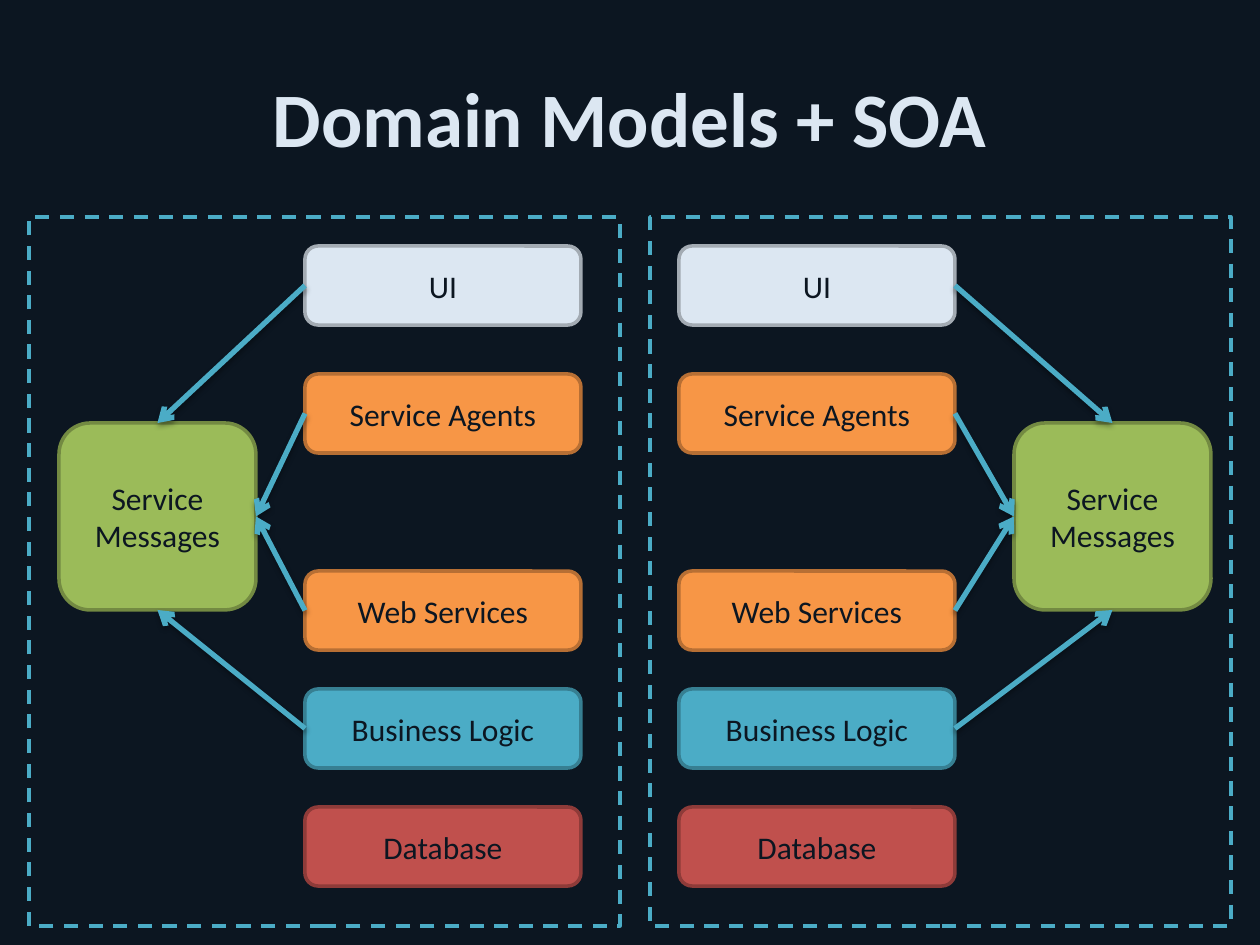
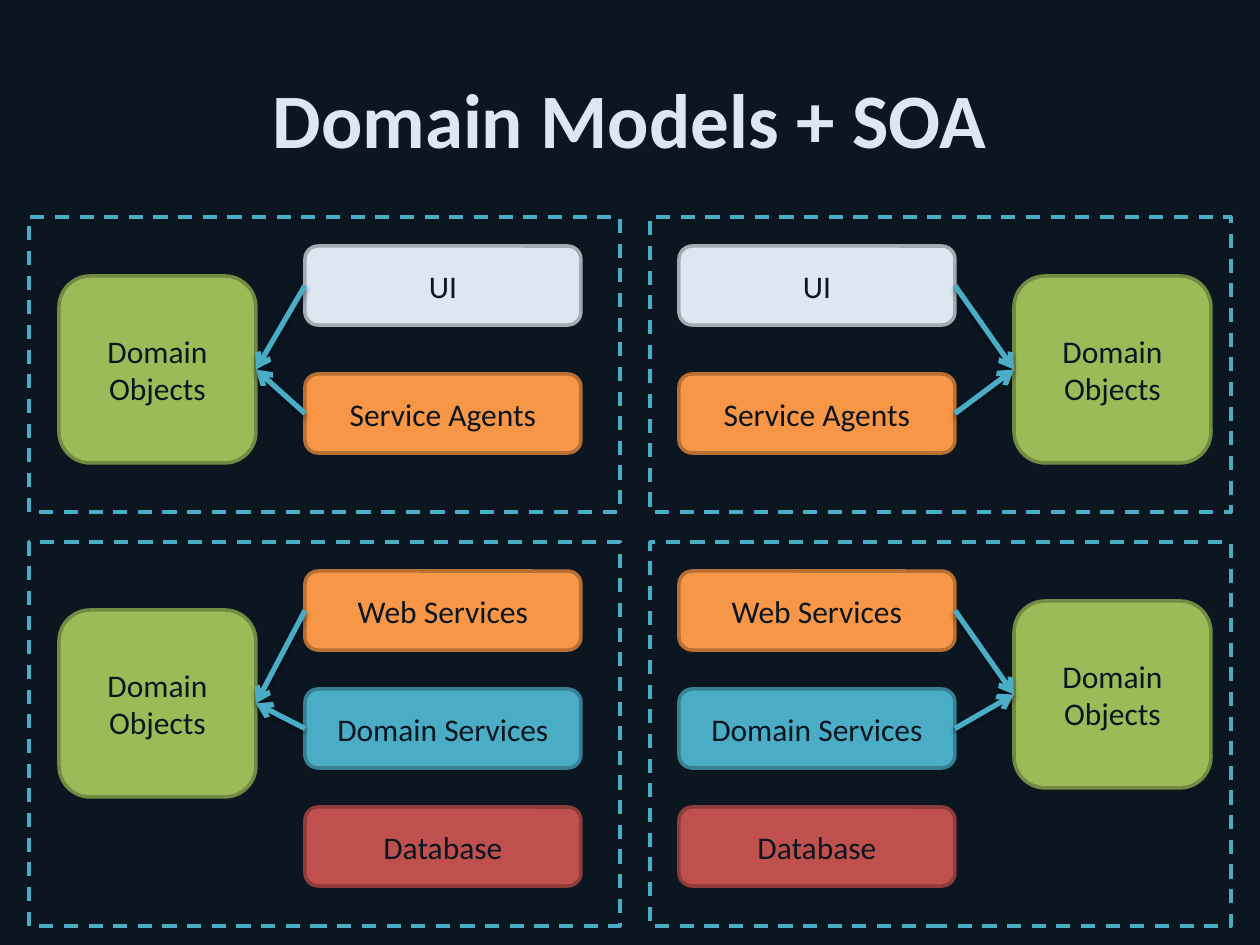
from lxml.etree import SubElement
from pptx import Presentation
from pptx.dml.color import RGBColor
from pptx.enum.dml import MSO_LINE
from pptx.enum.shapes import MSO_CONNECTOR, MSO_SHAPE
from pptx.enum.text import MSO_ANCHOR, PP_ALIGN
from pptx.oxml.ns import qn
from pptx.util import Emu, Pt

SCALE = 914400 / 126
FONT = "Calibri"
COLORS = {
    "night": "0C1621", "pale": "DCE7F2", "pale_edge": "A3ABB3",
    "orange": "F79646", "orange_edge": "B76F34",
    "teal": "4BACC6", "teal_edge": "377F92",
    "red": "C0504D", "red_edge": "8E3B39",
    "green": "9BBB59", "green_edge": "738A42",
}
TOP, LEFT, BOTTOM, RIGHT = range(4)
LAYER_SIZE = (276, 79)
HUB_SIZE = (197, 187)
LAYER_TOPS = (246, 374, 571, 689, 807)
LAYER_COLORS = ("pale", "orange", "orange", "teal", "red")
SIDES = {
    "right": {"frame": (650, 581), "layers": 679, "hub": 1014, "out": RIGHT, "into": LEFT},
    "left": {"frame": (29, 591), "layers": 305, "hub": 59, "out": LEFT, "into": RIGHT},
}


def px(value):
    return Emu(round(value * SCALE))


def color(name):
    return RGBColor.from_string(COLORS[name])


def add_text(frame, text, size, color_name, bold=False):
    frame.word_wrap = True
    frame.vertical_anchor = MSO_ANCHOR.MIDDLE
    para = frame.paragraphs[0]
    para.alignment = PP_ALIGN.CENTER
    span = para.add_run()
    span.text = text
    span.font.name = FONT
    span.font.size = Pt(size)
    span.font.bold = bold
    span.font.color.rgb = color(color_name)


def add_box(page, kind, left, top, size, fill, edge):
    box = page.shapes.add_shape(kind, px(left), px(top), *map(px, size))
    box.shadow.inherit = False
    box.fill.solid()
    box.fill.fore_color.rgb = color(fill)
    box.line.color.rgb = color(edge)
    box.line.width = Pt(2)
    return box


def add_frame(page, side, top, height):
    left, width = side["frame"]
    frame = add_box(page, MSO_SHAPE.RECTANGLE, left, top, (width, height), "night", "teal")
    frame.line.dash_style = MSO_LINE.DASH


def add_block(page, text, left, top, size, fill):
    block = add_box(page, MSO_SHAPE.ROUNDED_RECTANGLE, left, top, size, fill, fill + "_edge")
    add_text(block.text_frame, text, 18, "night")
    return block


def add_arrow(page, source, source_site, target, target_site):
    arrow = page.shapes.add_connector(MSO_CONNECTOR.STRAIGHT, 0, 0, 0, 0)
    arrow.begin_connect(source, source_site)
    arrow.end_connect(target, target_site)
    arrow.line.color.rgb = color("teal")
    arrow.line.width = Pt(3)
    properties = arrow.line._get_or_add_ln()
    SubElement(properties, qn("a:tailEnd"), type="arrow")
    effects = SubElement(properties.getparent(), qn("a:effectLst"))
    shadow = SubElement(effects, qn("a:outerShdw"), blurRad=str(Pt(3.1)),
                        dist=str(Pt(1.8)), dir="5400000", rotWithShape="0")
    shade = SubElement(shadow, qn("a:srgbClr"), val="000000")
    SubElement(shade, qn("a:alpha"), val="35000")


def add_page(deck, title_top, bands):
    page = deck.slides.add_slide(deck.slide_layouts[5])
    page.background.fill.solid()
    page.background.fill.fore_color.rgb = color("night")
    title = page.shapes.title
    title.left, title.top, title.width, title.height = map(px, (63, title_top, 1134, 158))
    add_text(title.text_frame, "Domain Models + SOA", 44, "pale", bold=True)
    for side in SIDES.values():
        for top, height in bands:
            add_frame(page, side, top, height)
    return page


def add_layers(page, side, logic_name):
    names = ("UI", "Service Agents", "Web Services", logic_name, "Database")
    return [add_block(page, name, side["layers"], top, LAYER_SIZE, fill)
            for name, top, fill in zip(names, LAYER_TOPS, LAYER_COLORS)]


def add_hub(page, side, text, top, layers, sites):
    hub = add_block(page, text, side["hub"], top, HUB_SIZE, "green")
    for layer, site in zip(layers, sites):
        add_arrow(page, layer, side["out"], hub, site)


def add_message_page(deck):
    page = add_page(deck, 38, [(217, 709)])
    for side in SIDES.values():
        layers = add_layers(page, side, "Business Logic")
        sites = (TOP, side["into"], side["into"], BOTTOM)
        add_hub(page, side, "Service Messages", 423, layers, sites)


def add_object_page(deck):
    page = add_page(deck, 39, [(217, 295), (542, 384)])
    lower_tops = {"right": 601, "left": 610}
    for name, side in SIDES.items():
        layers = add_layers(page, side, "Domain Services")
        sites = (side["into"], side["into"])
        add_hub(page, side, "Domain Objects", 276, layers[:2], sites)
        add_hub(page, side, "Domain Objects", lower_tops[name], layers[2:4], sites)


def main():
    deck = Presentation()
    deck.slide_width, deck.slide_height = px(1260), px(945)
    add_message_page(deck)
    add_object_page(deck)
    deck.save("out.pptx")


main()
